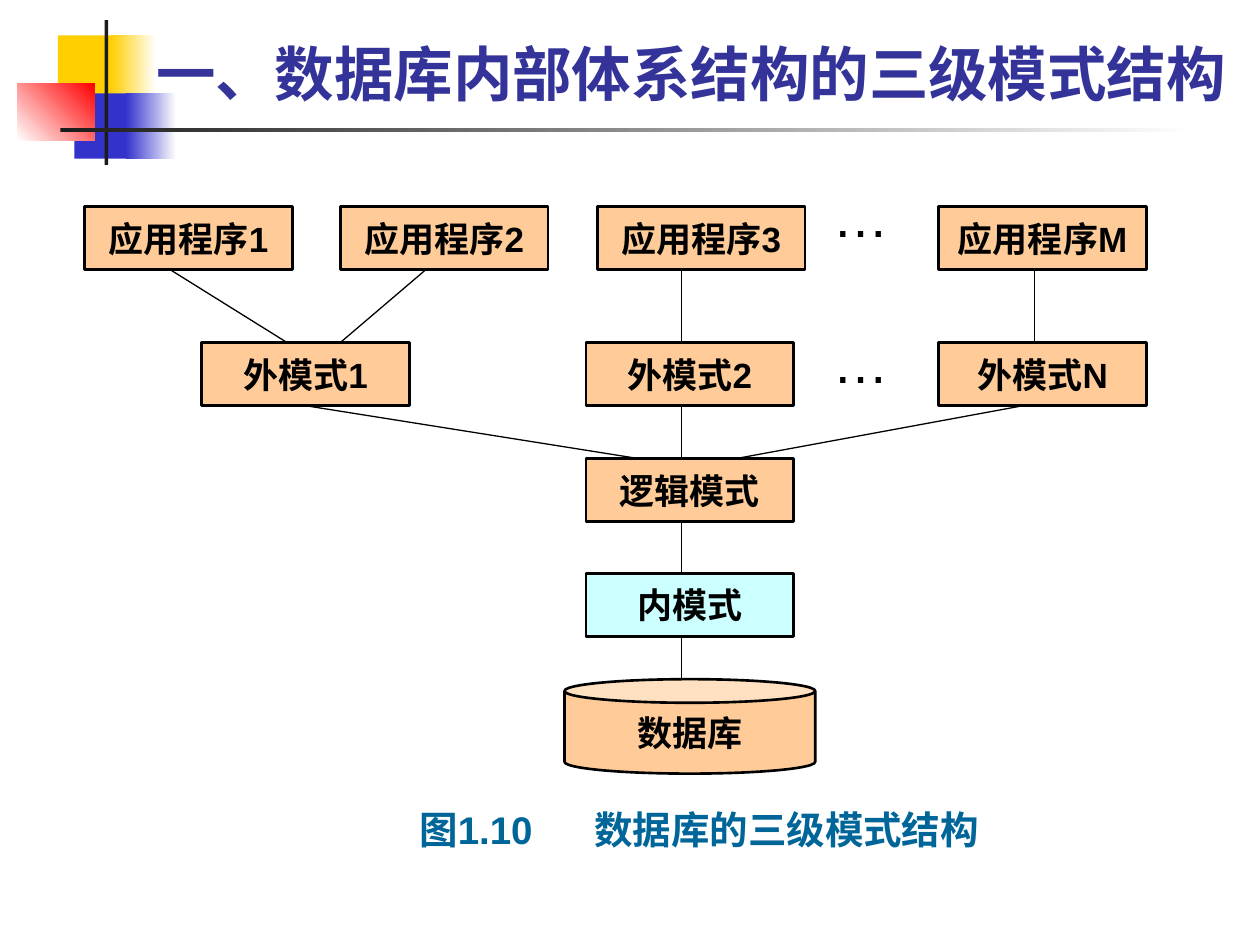
from lxml import etree
from pptx import Presentation, util as u
from pptx.dml.color import RGBColor
from pptx.enum import shapes, text
from pptx.oxml import ns

RECT = shapes.MSO_SHAPE.RECTANGLE
CAN = shapes.MSO_SHAPE.CAN
PEACH, CYAN, BLACK, WHITE = "FFCC99", "CCFFFF", "000000", "FFFFFF"
YELLOW, BLUE, RED, DARK = "FFCF01", "3333CC", "FF0000", "1C1C1C"


def colour(value):
    return RGBColor.from_string(value)


class Diagram:
    """Holds the style and the current page."""

    def __init__(self, page, font="Arial"):
        self.page = page
        self.font = font

    def shape(self, kind, left, top, width, height):
        shape = self.page.shapes.add_shape(
            kind, *map(u.Inches, (left, top, width, height)))
        shape.shadow.inherit = False
        return shape

    def span(self, para, words, size, tint=BLACK, bold=True, font=None):
        span = para.add_run()
        span.text = words
        span.font.size = u.Pt(size)
        span.font.bold = bold
        span.font.name = font or self.font
        span.font.color.rgb = colour(tint)

    def block(self, place, start, end=None, angle=0):
        """Borderless decoration, plain or fading from start to end."""
        block = self.shape(RECT, *place)
        block.line.fill.background()
        if end is None:
            block.fill.solid()
            block.fill.fore_color.rgb = colour(start)
            return
        block.fill.gradient()
        block.fill.gradient_angle = angle
        for stop, tint in zip(block.fill.gradient_stops, (start, end)):
            stop.color.rgb = colour(tint)

    def node(self, words, left, top, width=1.65, height=0.5, fill=PEACH, kind=RECT):
        node = self.shape(kind, left, top, width, height)
        node.fill.solid()
        node.fill.fore_color.rgb = colour(fill)
        node.line.color.rgb = colour(BLACK)
        node.line.width = u.Pt(1.5)
        frame = node.text_frame
        frame.word_wrap = False
        frame.vertical_anchor = text.MSO_ANCHOR.MIDDLE
        para = frame.paragraphs[0]
        para.alignment = text.PP_ALIGN.CENTER
        self.span(para, words, 20)
        return node

    def line(self, x1, y1, x2, y2):
        line = self.page.shapes.add_connector(
            shapes.MSO_CONNECTOR.STRAIGHT, *map(u.Inches, (x1, y1, x2, y2)))
        line.line.color.rgb = colour(BLACK)
        line.line.width = u.Pt(0.75)
        etree.SubElement(line._element.spPr, ns.qn("a:effectLst"))
        return line

    def label(self, place, words, size, tab=None, anchor=text.MSO_ANCHOR.TOP, **style):
        box = self.page.shapes.add_textbox(*map(u.Inches, place))
        frame = box.text_frame
        frame.word_wrap = True
        frame.vertical_anchor = anchor
        para = frame.paragraphs[0]
        if tab:
            stops = etree.SubElement(para._p.get_or_add_pPr(), ns.qn("a:tabLst"))
            etree.SubElement(stops, ns.qn("a:tab"), pos=str(u.Inches(tab)), algn="l")
        self.span(para, words, size, **style)


def main():
    deck = Presentation()
    deck.slide_width, deck.slide_height = u.Inches(10), u.Inches(7.5)
    diagram = Diagram(deck.slides.add_slide(deck.slide_layouts[6]))

    # Corner decoration and rule under the title
    diagram.block((0.46, 0.28, 0.48, 0.52), YELLOW)
    diagram.block((0.88, 0.28, 0.36, 0.52), YELLOW, WHITE)
    diagram.block((0.59, 0.74, 0.46, 0.52), BLUE)
    diagram.block((1, 0.74, 0.4, 0.52), BLUE, WHITE)
    diagram.block((0.14, 0.66, 0.61, 0.46), WHITE, RED, angle=45)
    diagram.block((0.83, 0.16, 0.03, 1.15), DARK)
    diagram.block((0.48, 1.02, 9, 0.03), DARK, WHITE)

    # Title
    diagram.label((1.14, 0.23, 8.8, 0.68), "一、数据库内部体系结构的三级模式结构", 34,
                  anchor=text.MSO_ANCHOR.BOTTOM, tint="333399", font="Roboto")

    # Levels of the architecture, from the database up
    app_top, view_top, logic_top, inner_top, store_top = 1.64, 2.72, 3.64, 4.55, 5.39
    high = 0.5
    diagram.node("数据库", 4.48, store_top, 1.99, 0.75, kind=CAN)
    for name, left in zip("123M", (0.67, 2.7, 4.74, 7.45)):
        diagram.node("应用程序" + name, left, app_top)
    views = [diagram.node("外模式" + name, left, view_top)
             for name, left in zip("12N", (1.6, 4.65, 7.45))]
    diagram.node("逻辑模式", 4.65, logic_top)
    diagram.node("内模式", 4.65, inner_top, fill=CYAN)

    # Links from applications to external schemas
    for start, end in ((1.35, 2.28), (3.38, 2.7), (8.21, 8.21)):
        diagram.line(start, app_top + high, end, view_top)

    # Central trunk down to the database
    levels = (app_top, view_top, logic_top, inner_top, store_top)
    for upper, lower in zip(levels, levels[1:]):
        diagram.line(5.41, upper + high, 5.41, lower)

    # Outer external schemas to the logical schema
    diagram.line(2.43, view_top + high, 5.07, logic_top).begin_connect(views[0], 2)
    diagram.line(8.12, view_top + high, 5.84, logic_top)

    # Ellipses and caption
    for top in (1.39, 2.55):
        diagram.label((6.51, top, 0.85, 0.63), "…", 32, bold=False)
    diagram.label((3.23, 6.35, 5.68, 0.47), "图1.10\t数据库的三级模式结构", 22,
                  tab=1.39, tint="006699")

    deck.save("out.pptx")


if __name__ == "__main__":
    main()
